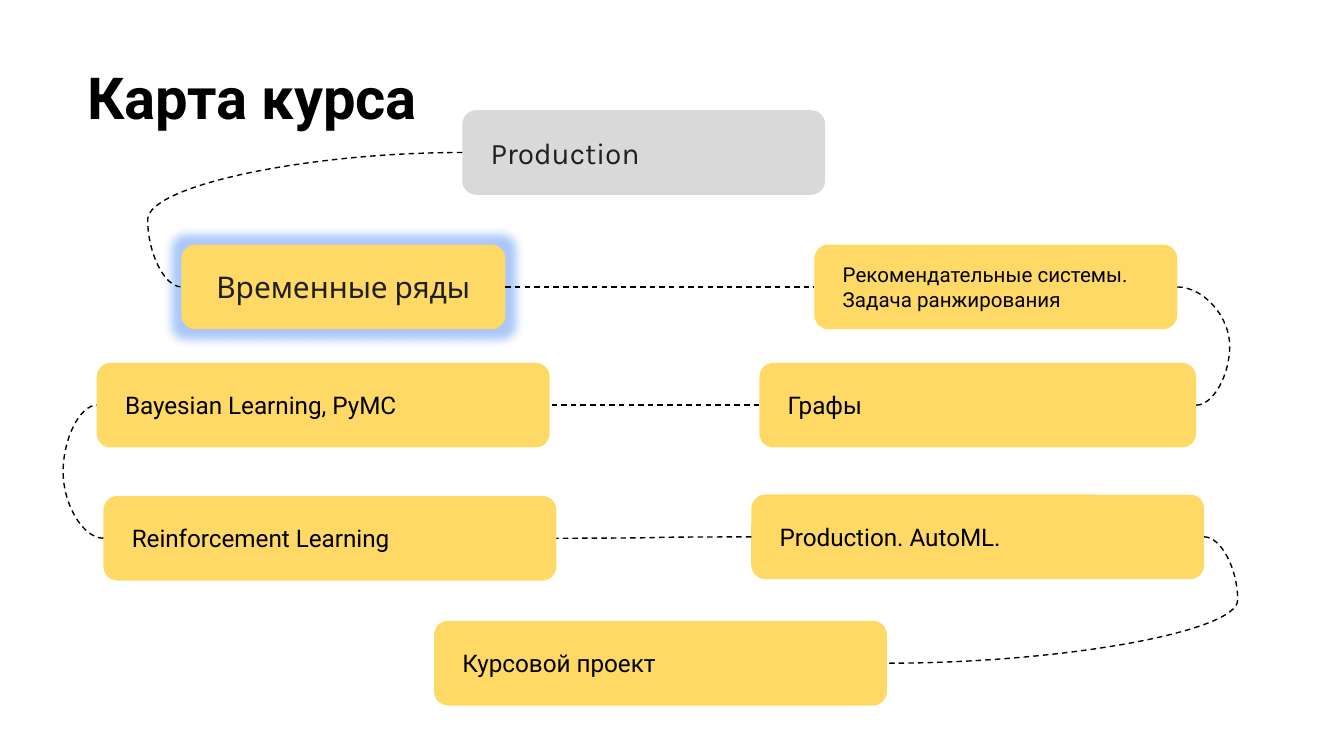
import pptx
import pptx.util
import pptx.dml.color
import pptx.enum.dml
import pptx.enum.shapes
import pptx.enum.text
import pptx.oxml
import pptx.oxml.ns

Inches, Pt = pptx.util.Inches, pptx.util.Pt
PP, MSO = pptx.enum.text.PP_ALIGN, pptx.enum.text.MSO_ANCHOR

COLORS = {"back": "FFFFFF", "text": "000000", "soft": "1F1F1F",
          "past": "D9D9D9", "topic": "FFD966", "glow": "4285F4"}
TITLE = "Карта курса"
SLIDE_W = 10
SLIDE_H = SLIDE_W * 9 / 16
BOX_H = 0.63
NARROW, MEDIUM, WIDE = 2.7, 3.25, 3.37

# name: (text, left, top, width, fill, font, size, text colour)
TOPICS = {
    "production": ("Production", 3.44, 0.82, NARROW, "past", "Karla", 16, "soft"),
    "series": ("Временные ряды", 1.35, 1.82, 2.41, "topic", "Karla", 16, "soft"),
    "ranking": ("Рекомендательные системы. Задача ранжирования",
                6.06, 1.82, NARROW, "topic", "Roboto", 11, "text"),
    "graphs": ("Графы", 5.65, 2.7, MEDIUM, "topic", "Roboto", 13, "text"),
    "bayes": ("Bayesian Learning, PyMC", 0.72, 2.7, WIDE, "topic", "Roboto", 13, "text"),
    "rl": ("Reinforcement Learning", 0.77, 3.69, WIDE, "topic", "Roboto", 13, "text"),
    "automl": ("Production. AutoML.", 5.59, 3.68, WIDE, "topic", "Roboto", 13, "text"),
    "project": ("Курсовой проект", 3.23, 4.62, WIDE, "topic", "Roboto", 13, "text"),
}
CURRENT = "series"

# start, its side, end, its side, x of the bend (None: halfway)
LINKS = [
    ("production", "left", "series", "left", 1.1),
    ("series", "right", "ranking", "left", None),
    ("ranking", "right", "graphs", "right", 9.15),
    ("graphs", "left", "bayes", "right", None),
    ("rl", "left", "bayes", "left", 0.47),
    ("automl", "left", "rl", "right", None),
    ("automl", "right", "project", "right", 9.21),
]


def rgb(name):
    return pptx.dml.color.RGBColor.from_string(COLORS[name])


def add_run(p, text, font, size, color, bold=False):
    r = p.add_run()
    r.text = text
    r.font.name, r.font.size, r.font.bold = font, Pt(size), bold
    r.font.color.rgb = rgb(color)


def set_insets(tf, side, end):
    tf.margin_left = tf.margin_right = Inches(side)
    tf.margin_top = tf.margin_bottom = Inches(end)


def add_title(slide):
    sp = slide.shapes.title
    sp.left, sp.top, sp.width, sp.height = map(Inches, (0.55, 0.36, 9.32, 1.2))
    tf = sp.text_frame
    tf.auto_size = pptx.enum.text.MSO_AUTO_SIZE.NONE
    tf.vertical_anchor = MSO.TOP
    set_insets(tf, 0.1, 0.1)
    p = tf.paragraphs[0]
    p.alignment = PP.LEFT
    add_run(p, TITLE, "Roboto", 31, "text", True)


def add_topic(slide, name):
    text, left, top, width, fill, font, size, color = TOPICS[name]
    sp = slide.shapes.add_shape(pptx.enum.shapes.MSO_SHAPE.ROUNDED_RECTANGLE,
                                *map(Inches, (left, top, width, BOX_H)))
    sp.shadow.inherit = False
    sp.fill.solid()
    sp.fill.fore_color.rgb = rgb(fill)
    sp.line.fill.background()
    tf = sp.text_frame
    tf.word_wrap = True
    tf.vertical_anchor = MSO.MIDDLE
    set_insets(tf, 0.18, 0.1)
    p = tf.paragraphs[0]
    p.alignment = PP.LEFT
    add_run(p, text, font, size, color)
    if name == CURRENT:
        tf.margin_left = Inches(0.23)
        add_glow(sp)


def add_glow(sp):
    effects = sp._element.spPr.find(pptx.oxml.ns.qn("a:effectLst"))
    effects.append(pptx.oxml.parse_xml(
        f'<a:glow {pptx.oxml.ns.nsdecls("a")} rad="{Inches(0.15)}">'
        f'<a:srgbClr val="{COLORS["glow"]}"><a:alpha val="45000"/></a:srgbClr></a:glow>'))


def side_point(name, side):
    _, left, top, width = TOPICS[name][:4]
    return left + (width if side == "right" else 0), top + BOX_H / 2


def add_link(slide, start, start_side, end, end_side, bend):
    x1, y1 = side_point(start, start_side)
    x2, y2 = side_point(end, end_side)
    share = 0.5 if bend is None else (bend - x1) / (x2 - x1)
    line = slide.shapes.add_connector(pptx.enum.shapes.MSO_CONNECTOR.CURVE,
                                      *map(Inches, (x1, y1, x2, y2)))
    line.line.color.rgb = rgb("text")
    line.line.width = Pt(0.75)
    line.line.dash_style = pptx.enum.dml.MSO_LINE.DASH
    spPr = line._element.spPr
    ns = pptx.oxml.ns.nsdecls("a")
    guides = spPr.find(".//" + pptx.oxml.ns.qn("a:avLst"))
    guides.append(pptx.oxml.parse_xml(
        f'<a:gd {ns} name="adj1" fmla="val {round(share * 100000)}"/>'))
    spPr.append(pptx.oxml.parse_xml(f"<a:effectLst {ns}/>"))


def main():
    prs = pptx.Presentation()
    prs.slide_width, prs.slide_height = Inches(SLIDE_W), Inches(SLIDE_H)
    slide = prs.slides.add_slide(prs.slide_layouts.get_by_name("Title Only"))
    slide.background.fill.solid()
    slide.background.fill.fore_color.rgb = rgb("back")
    add_title(slide)
    for name in TOPICS:
        add_topic(slide, name)
    for link in LINKS:
        add_link(slide, *link)
    prs.save("out.pptx")


if __name__ == "__main__":
    main()
